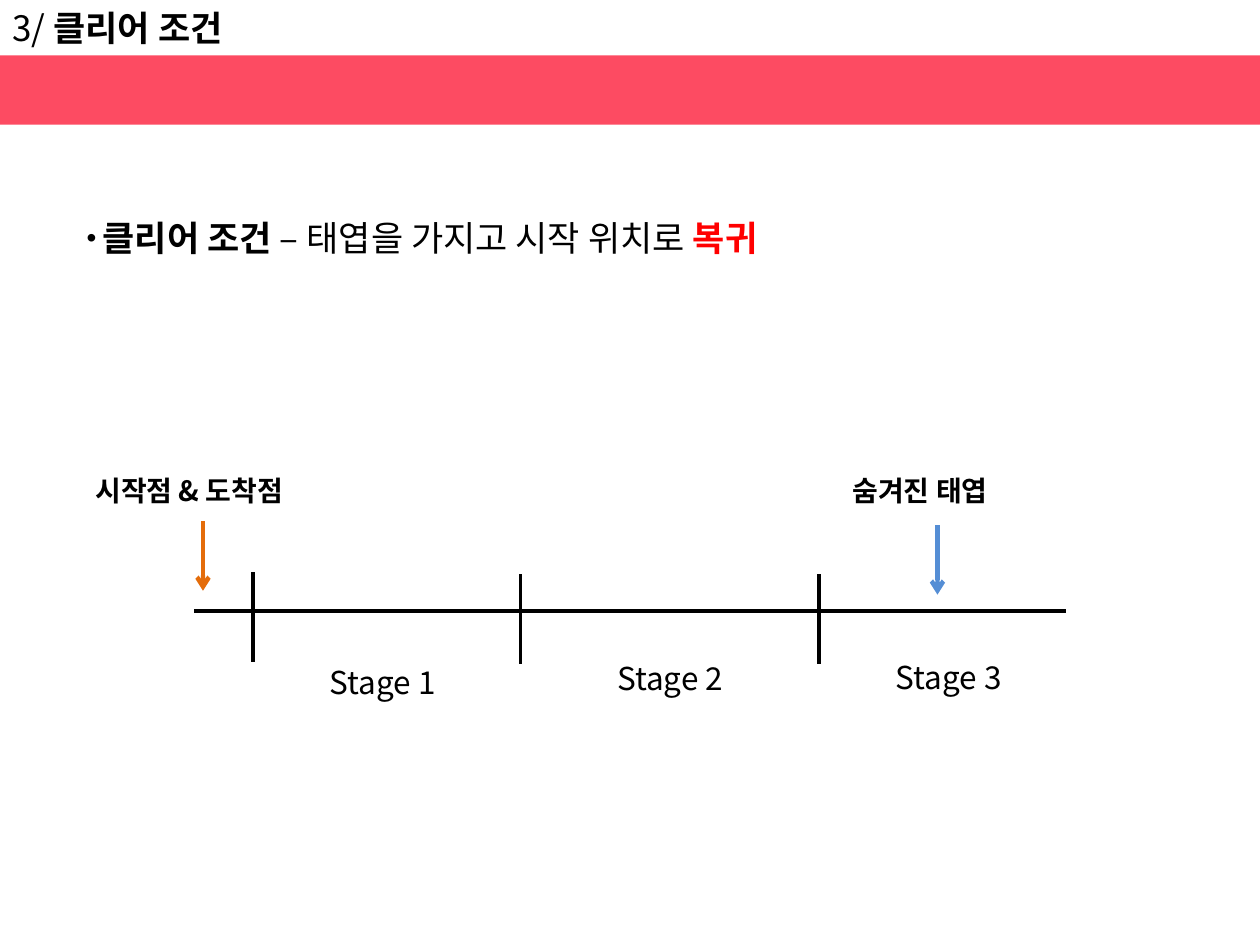
from lxml.etree import SubElement
from pptx import Presentation
from pptx.dml.color import RGBColor
from pptx.enum.shapes import MSO_CONNECTOR, MSO_SHAPE
from pptx.enum.text import MSO_AUTO_SIZE
from pptx.oxml.ns import qn
from pptx.util import Pt

BLACK = RGBColor(0, 0, 0)
RED = RGBColor(0xFF, 0, 0)
CORAL = RGBColor(0xFD, 0x4B, 0x62)
ORANGE = RGBColor(0xE4, 0x6C, 0x0A)
BLUE = RGBColor(0x55, 0x8E, 0xD5)
KOREAN = "Noto Sans CJK KR"
LATIN = "Arial"


def add_band(slide, left, top, width, height, color):
    band = slide.shapes.add_shape(
        MSO_SHAPE.RECTANGLE, Pt(left), Pt(top), Pt(width), Pt(height))
    band.shadow.inherit = False
    band.fill.solid()
    band.fill.fore_color.rgb = color
    band.line.fill.background()


def add_text(slide, left, top, width, height, runs, wrap=False):
    box = slide.shapes.add_textbox(Pt(left), Pt(top), Pt(width), Pt(height))
    frame = box.text_frame
    frame.word_wrap = wrap
    frame.auto_size = MSO_AUTO_SIZE.SHAPE_TO_FIT_TEXT
    paragraph = frame.paragraphs[0]
    for text, size, bold, font, color in runs:
        run = paragraph.add_run()
        run.text = text
        run.font.size = Pt(size)
        run.font.bold = bold
        run.font.name = font
        run.font.color.rgb = color
        SubElement(run.font._element, qn("a:ea")).set("typeface", KOREAN)
    return paragraph


def add_bullet(paragraph):
    properties = paragraph._p.get_or_add_pPr()
    properties.set("marL", "0")
    properties.set("indent", "0")
    SubElement(properties, qn("a:buFont")).set("typeface", LATIN)
    SubElement(properties, qn("a:buChar")).set("char", "•")


def add_line(slide, start, end, color=BLACK, width=2, arrow=False):
    line = slide.shapes.add_connector(
        MSO_CONNECTOR.STRAIGHT, *(Pt(value) for value in (*start, *end)))
    line.line.color.rgb = color
    line.line.width = Pt(width)
    if arrow:
        SubElement(line.line._get_or_add_ln(), qn("a:tailEnd")).set("type", "arrow")
    SubElement(line._element.spPr, qn("a:effectLst"))


def add_heading(slide):
    add_band(slide, 0, 31.7, 720, 39.6, CORAL)
    add_text(slide, 0, 0, 241, 31.5, [
        ("3/ ", 20, False, KOREAN, BLACK),
        ("클리어 조건", 20, True, LATIN, BLACK),
    ], wrap=True)


def add_condition(slide):
    paragraph = add_text(slide, 42.5, 120.2, 476, 31.5, [
        (" ", 16, False, KOREAN, BLACK),
        ("클리어 조건 ", 20, True, LATIN, BLACK),
        ("– 태엽을 가지고 시작 위치로 ", 20, False, LATIN, BLACK),
        ("복귀 ", 20, True, LATIN, RED),
    ], wrap=True)
    add_bullet(paragraph)


def add_timeline(slide):
    add_line(slide, (110.9, 349.2), (609.1, 349.2))
    for x, top in ((144.7, 327), (297.4, 328.3), (468, 328.3)):
        add_line(slide, (x, top), (x, top + 51))
    stages = ((181.4, 375.1), (345.6, 373), (504.7, 372.2))
    for number, (left, top) in enumerate(stages, 1):
        add_text(slide, left, top, 76.3, 29,
                 [(f"Stage {number}", 18, False, KOREAN, BLACK)])
    markers = (
        ("시작점 & 도착점", 47.5, 136.8, 116, 298, ORANGE),
        ("숨겨진 태엽", 480.2, 100.8, 535.7, 300.2, BLUE),
    )
    for label, left, width, x, top, color in markers:
        add_line(slide, (x, top), (x, top + 39.6), color, 2.5, arrow=True)
        add_text(slide, left, 267.1, width, 26.6,
                 [(label, 16, True, KOREAN, BLACK)])


def main():
    presentation = Presentation()
    presentation.slide_width = Pt(720)
    presentation.slide_height = Pt(540)
    slide = presentation.slides.add_slide(presentation.slide_layouts[6])
    add_heading(slide)
    add_condition(slide)
    add_timeline(slide)
    presentation.save("out.pptx")


main()
